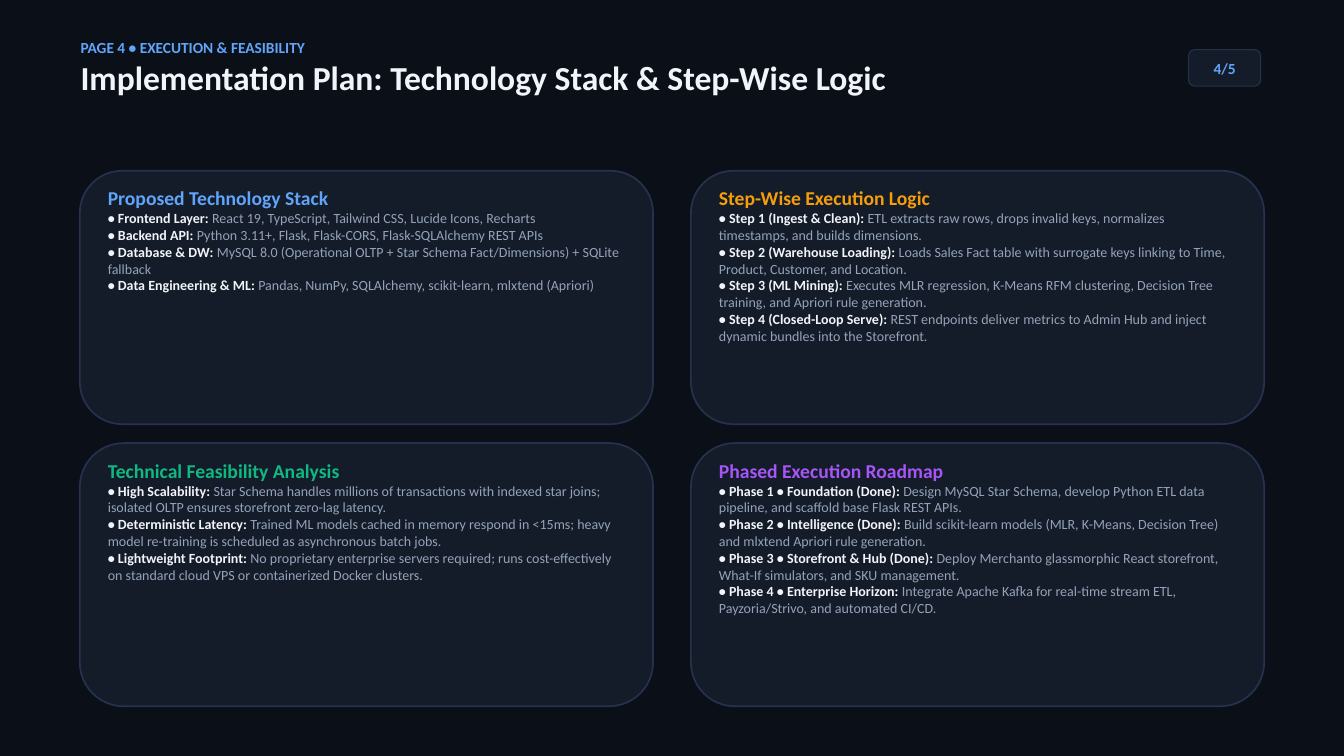
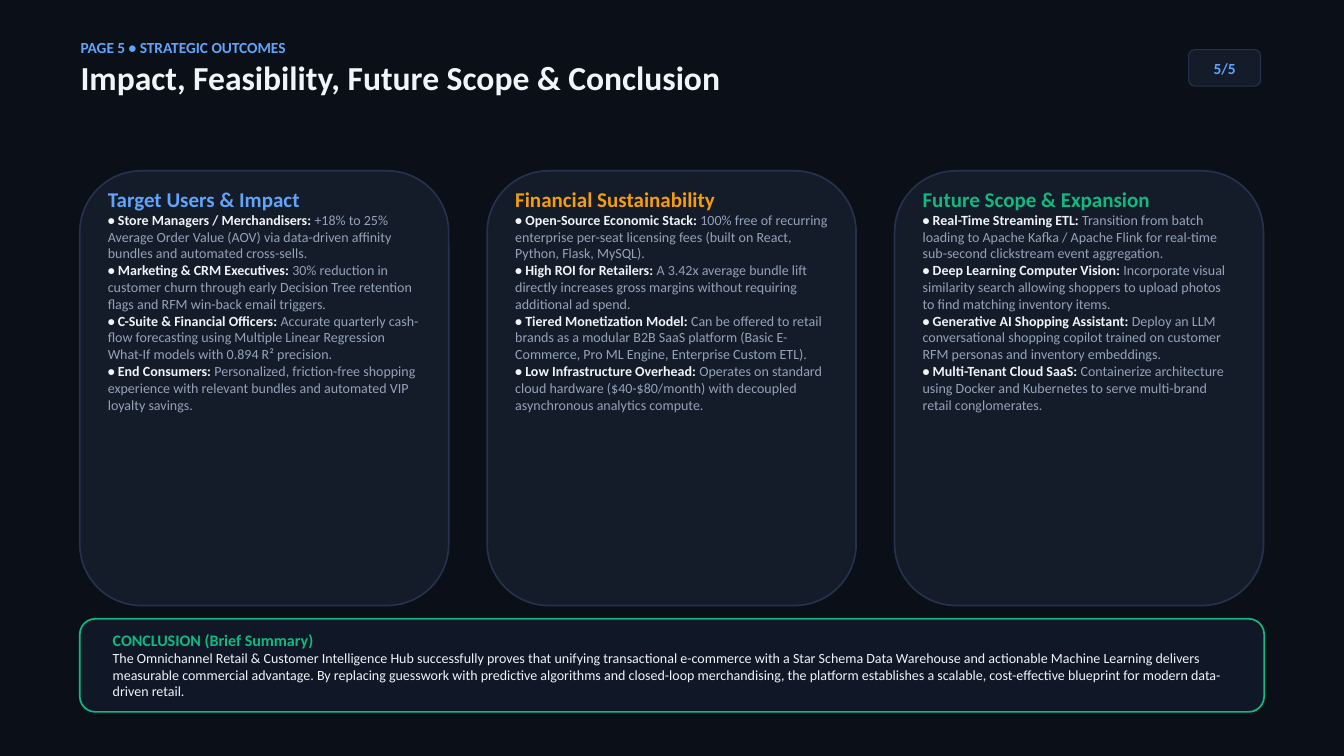
import pptx
import pptx.util
import pptx.dml.color
import pptx.enum.shapes
import pptx.enum.text

RGBColor = pptx.dml.color.RGBColor
BACKGROUND = RGBColor(0x0B, 0x0F, 0x17)
CARD_FILL = RGBColor(0x14, 0x1B, 0x29)
CARD_LINE = RGBColor(0x26, 0x32, 0x4D)
CONCLUSION_FILL = RGBColor(0x10, 0x18, 0x27)
WHITE = RGBColor(0xF1, 0xF5, 0xF9)
GREY = RGBColor(0x94, 0xA3, 0xB8)
BLUE = RGBColor(0x60, 0xA5, 0xFA)
AMBER = RGBColor(0xF5, 0x9E, 0x0B)
GREEN = RGBColor(0x10, 0xB9, 0x81)
PURPLE = RGBColor(0xA8, 0x55, 0xF7)

FONT = "Calibri"
EMU_PER_PX = 9525
SLIDE_WIDTH, SLIDE_HEIGHT = 1920, 1080
MARGIN = 114
CONTENT_WIDTH = SLIDE_WIDTH - 2 * MARGIN
CARD_TOP = 244
CARD_PAD_X, CARD_PAD_Y = 40, 22
BODY_SIZE = 15
LINE_FACTOR = 1.2

PLAN_CARDS = [
    ("Proposed Technology Stack", BLUE, [
        ("Frontend Layer:", "React 19, TypeScript, Tailwind CSS, Lucide Icons, Recharts"),
        ("Backend API:", "Python 3.11+, Flask, Flask-CORS, Flask-SQLAlchemy REST APIs"),
        ("Database & DW:", "MySQL 8.0 (Operational OLTP + Star Schema Fact/Dimensions) "
                           "+ SQLite fallback"),
        ("Data Engineering & ML:", "Pandas, NumPy, SQLAlchemy, scikit-learn, mlxtend (Apriori)"),
    ]),
    ("Step-Wise Execution Logic", AMBER, [
        ("Step 1 (Ingest & Clean):", "ETL extracts raw rows, drops invalid keys, normalizes "
                                     "timestamps, and builds dimensions."),
        ("Step 2 (Warehouse Loading):", "Loads Sales Fact table with surrogate keys linking to "
                                        "Time, Product, Customer, and Location."),
        ("Step 3 (ML Mining):", "Executes MLR regression, K-Means RFM clustering, Decision Tree "
                                "training, and Apriori rule generation."),
        ("Step 4 (Closed-Loop Serve):", "REST endpoints deliver metrics to Admin Hub and inject "
                                        "dynamic bundles into the Storefront."),
    ]),
    ("Technical Feasibility Analysis", GREEN, [
        ("High Scalability:", "Star Schema handles millions of transactions with indexed star "
                              "joins; isolated OLTP ensures storefront zero-lag latency."),
        ("Deterministic Latency:", "Trained ML models cached in memory respond in <15ms; heavy "
                                   "model re-training is scheduled as asynchronous batch jobs."),
        ("Lightweight Footprint:", "No proprietary enterprise servers required; runs "
                                   "cost-effectively on standard cloud VPS or containerized "
                                   "Docker clusters."),
    ]),
    ("Phased Execution Roadmap", PURPLE, [
        ("Phase 1 • Foundation (Done):", "Design MySQL Star Schema, develop Python ETL data "
                                         "pipeline, and scaffold base Flask REST APIs."),
        ("Phase 2 • Intelligence (Done):", "Build scikit-learn models (MLR, K-Means, Decision "
                                           "Tree) and mlxtend Apriori rule generation."),
        ("Phase 3 • Storefront & Hub (Done):", "Deploy Merchanto glassmorphic React storefront, "
                                               "What-If simulators, and SKU management."),
        ("Phase 4 • Enterprise Horizon:", "Integrate Apache Kafka for real-time stream ETL, "
                                          "Payzoria/Strivo, and automated CI/CD."),
    ]),
]

OUTCOME_CARDS = [
    ("Target Users & Impact", BLUE, [
        ("Store Managers / Merchandisers:", "+18% to 25% Average Order Value (AOV) via "
                                            "data-driven affinity bundles and automated "
                                            "cross-sells."),
        ("Marketing & CRM Executives:", "30% reduction in customer churn through early Decision "
                                        "Tree retention flags and RFM win-back email triggers."),
        ("C-Suite & Financial Officers:", "Accurate quarterly cash-flow forecasting using "
                                          "Multiple Linear Regression What-If models with "
                                          "0.894 R² precision."),
        ("End Consumers:", "Personalized, friction-free shopping experience with relevant "
                           "bundles and automated VIP loyalty savings."),
    ]),
    ("Financial Sustainability", AMBER, [
        ("Open-Source Economic Stack:", "100% free of recurring enterprise per-seat licensing "
                                        "fees (built on React, Python, Flask, MySQL)."),
        ("High ROI for Retailers:", "A 3.42x average bundle lift directly increases gross "
                                    "margins without requiring additional ad spend."),
        ("Tiered Monetization Model:", "Can be offered to retail brands as a modular B2B SaaS "
                                       "platform (Basic E-Commerce, Pro ML Engine, Enterprise "
                                       "Custom ETL)."),
        ("Low Infrastructure Overhead:", "Operates on standard cloud hardware ($40-$80/month) "
                                         "with decoupled asynchronous analytics compute."),
    ]),
    ("Future Scope & Expansion", GREEN, [
        ("Real-Time Streaming ETL:", "Transition from batch loading to Apache Kafka / Apache "
                                     "Flink for real-time sub-second clickstream event "
                                     "aggregation."),
        ("Deep Learning Computer Vision:", "Incorporate visual similarity search allowing "
                                           "shoppers to upload photos to find matching "
                                           "inventory items."),
        ("Generative AI Shopping Assistant:", "Deploy an LLM conversational shopping copilot "
                                              "trained on customer RFM personas and inventory "
                                              "embeddings."),
        ("Multi-Tenant Cloud SaaS:", "Containerize architecture using Docker and Kubernetes to "
                                     "serve multi-brand retail conglomerates."),
    ]),
]

CONCLUSION = (
    "The Omnichannel Retail & Customer Intelligence Hub successfully proves that unifying "
    "transactional e-commerce with a Star Schema Data Warehouse and actionable Machine Learning "
    "delivers measurable commercial advantage. By replacing guesswork with predictive algorithms "
    "and closed-loop merchandising, the platform establishes a scalable, cost-effective blueprint "
    "for modern data-driven retail."
)


def px(length):
    return pptx.util.Emu(length * EMU_PER_PX)


def add_panel(slide, left, top, width, height, fill=CARD_FILL, line=CARD_LINE, line_width=1.8):
    shape = slide.shapes.add_shape(
        pptx.enum.shapes.MSO_SHAPE.ROUNDED_RECTANGLE, px(left), px(top), px(width), px(height))
    shape.shadow.inherit = False
    shape.fill.solid()
    shape.fill.fore_color.rgb = fill
    shape.line.color.rgb = line
    shape.line.width = pptx.util.Pt(line_width)
    return shape


def fill_text(text_frame, paragraphs, alignment=pptx.enum.text.PP_ALIGN.LEFT):
    text_frame.word_wrap = True
    text_frame.margin_left = text_frame.margin_right = 0
    text_frame.margin_top = text_frame.margin_bottom = 0
    for index, (size, runs) in enumerate(paragraphs):
        paragraph = text_frame.add_paragraph() if index else text_frame.paragraphs[0]
        paragraph.alignment = alignment
        paragraph.line_spacing = pptx.util.Pt(round(size * LINE_FACTOR, 1))
        for text, color, bold in runs:
            run = paragraph.add_run()
            run.text = text
            run.font.name = FONT
            run.font.size = pptx.util.Pt(size)
            run.font.bold = bold
            run.font.color.rgb = color


def add_text(slide, left, top, width, height, paragraphs):
    box = slide.shapes.add_textbox(px(left), px(top), px(width), px(height))
    fill_text(box.text_frame, paragraphs)


def add_card(slide, left, top, width, height, card, heading_size):
    heading, color, items = card
    add_panel(slide, left, top, width, height)
    paragraphs = [(heading_size, [(heading, color, True)])]
    for label, detail in items:
        paragraphs.append((BODY_SIZE, [(f"• {label} ", WHITE, True), (detail, GREY, False)]))
    add_text(slide, left + CARD_PAD_X, top + CARD_PAD_Y,
             width - 2 * CARD_PAD_X + 1, height - 50, paragraphs)


def add_conclusion(slide, top, height):
    add_panel(slide, MARGIN, top, CONTENT_WIDTH, height, CONCLUSION_FILL, GREEN)
    add_text(slide, MARGIN + 47, top + 16, CONTENT_WIDTH - 94, 95, [
        (17.2, [("CONCLUSION (Brief Summary)", GREEN, True)]),
        (BODY_SIZE, [(CONCLUSION, WHITE, False)]),
    ])


def add_page(presentation, kicker, title, page_number):
    slide = presentation.slides.add_slide(presentation.slide_layouts[6])
    slide.background.fill.solid()
    slide.background.fill.fore_color.rgb = BACKGROUND
    add_text(slide, 115, 55, 1690, 161, [
        (16.5, [(kicker, BLUE, True)]),
        (36, [(title, WHITE, True)]),
    ])
    badge = add_panel(slide, 1698, 71, 103, 52, line_width=1.13)
    badge.text_frame.vertical_anchor = pptx.enum.text.MSO_ANCHOR.MIDDLE
    fill_text(badge.text_frame, [(16.5, [(page_number, BLUE, True)])],
              pptx.enum.text.PP_ALIGN.CENTER)
    return slide


def add_plan_slide(presentation):
    slide = add_page(presentation, "PAGE 4 • EXECUTION & FEASIBILITY",
                     "Implementation Plan: Technology Stack & Step-Wise Logic", "4/5")
    width, column_step = 819, 873
    rows = [(CARD_TOP, 362), (633, 376)]
    for index, card in enumerate(PLAN_CARDS):
        row, column = divmod(index, 2)
        top, height = rows[row]
        add_card(slide, MARGIN + column * column_step, top, width, height, card, 21)


def add_outcomes_slide(presentation):
    slide = add_page(presentation, "PAGE 5 • STRATEGIC OUTCOMES",
                     "Impact, Feasibility, Future Scope & Conclusion", "5/5")
    width, column_step = 527, 582
    for column, card in enumerate(OUTCOME_CARDS):
        add_card(slide, MARGIN + column * column_step, CARD_TOP, width, 621, card, 22.5)
    add_conclusion(slide, 884, 133)


def main():
    presentation = pptx.Presentation()
    presentation.slide_width = px(SLIDE_WIDTH)
    presentation.slide_height = px(SLIDE_HEIGHT)
    add_plan_slide(presentation)
    add_outcomes_slide(presentation)
    presentation.save("out.pptx")


if __name__ == "__main__":
    main()
